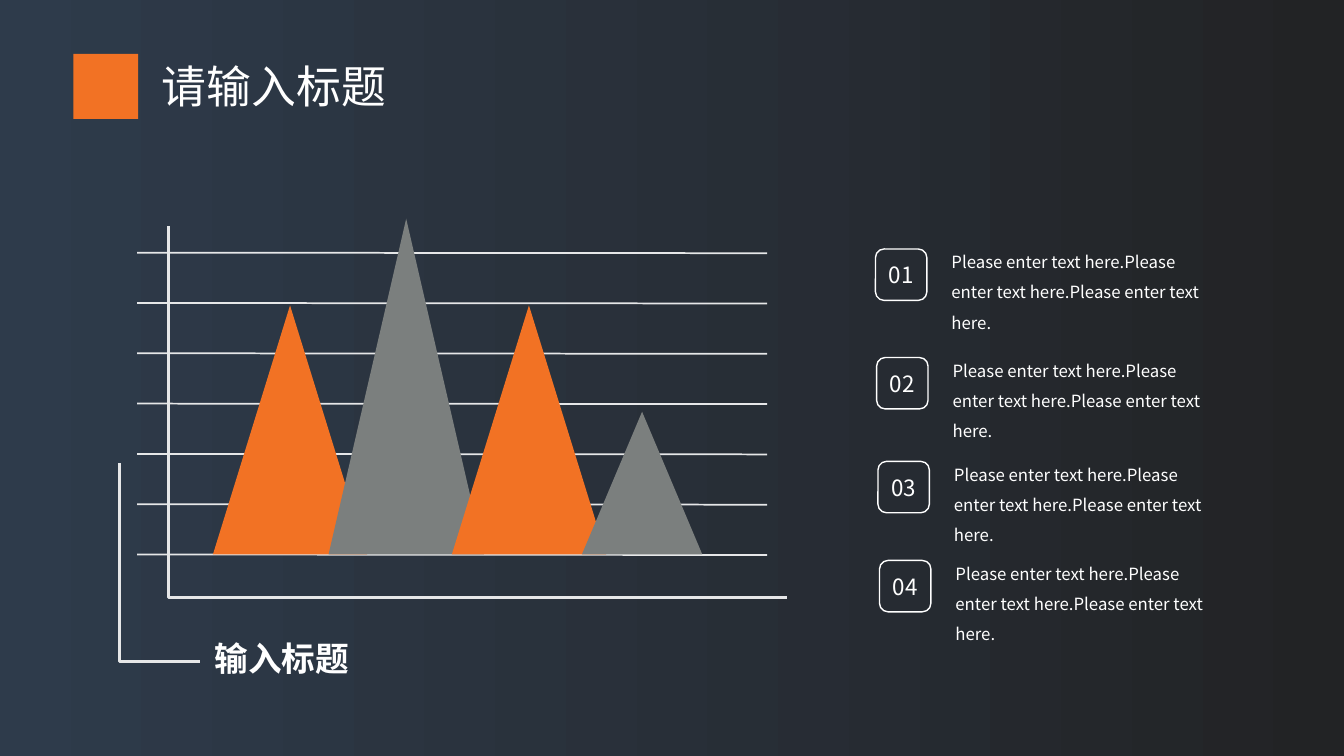
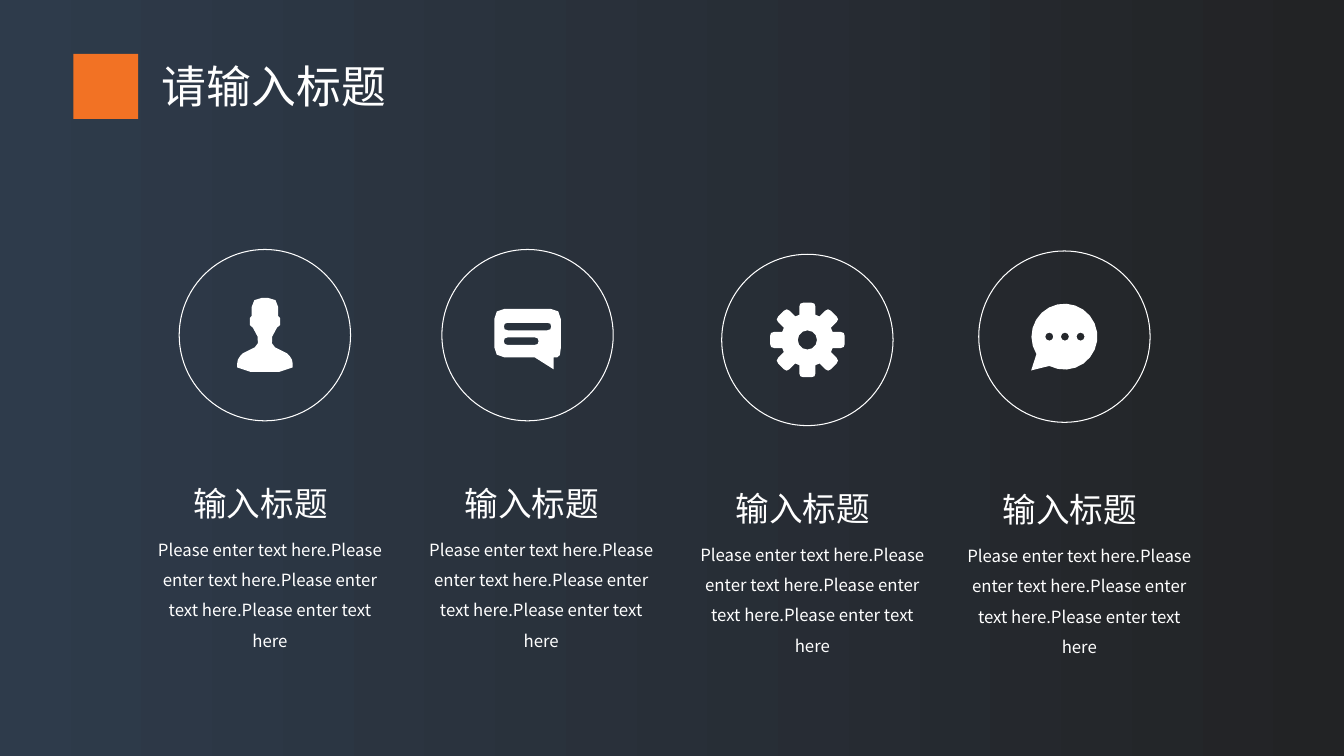
from math import cos, hypot, pi, radians, sin

from lxml.etree import SubElement
from pptx import Presentation
from pptx.dml.color import RGBColor
from pptx.enum.shapes import MSO_CONNECTOR, MSO_SHAPE
from pptx.enum.text import MSO_ANCHOR, MSO_AUTO_SIZE, PP_ALIGN
from pptx.oxml.ns import qn
from pptx.util import Emu, Pt

GRID = 91440
COLUMNS, ROWS = 133.33, 75
FONT = "Noto Sans CJK SC"
WHITE, SILVER, GREY, ORANGE = "FFFFFF", "E6E7E8", "7B7F7E", "F27224"
DARK, NAVY = "222325", "2E3B4B"
SENTENCE = "Please enter text here."


def cells(*counts):
    """Turn grid cells, ten to the inch, into lengths."""
    return [Emu(round(count * GRID)) for count in counts]


def color(hex_code):
    """Turn a hex string into a colour."""
    return RGBColor.from_string(hex_code)


def paint(shape, fill=None, line=None, weight=1):
    """Give a shape its fill and outline, without shadow."""
    shape.shadow.inherit = False
    if fill:
        shape.fill.solid()
        shape.fill.fore_color.rgb = color(fill)
    else:
        shape.fill.background()
    if line:
        shape.line.color.rgb = color(line)
        shape.line.width = Pt(weight)
    else:
        shape.line.fill.background()
    return shape


def write(frame, text, size, align=PP_ALIGN.LEFT, spacing=1.0, bold=False):
    """Set white text in a frame and format it."""
    frame.text = text
    para = frame.paragraphs[0]
    para.alignment = align
    para.line_spacing = spacing
    span = para.runs[0]
    span.font.size = Pt(size)
    span.font.bold = bold
    span.font.color.rgb = color(WHITE)
    span.font.name = FONT
    SubElement(span.font._element, qn("a:ea"), typeface=FONT)


def add_text(page, box, text, size, wrap=True, inset=True, **style):
    """Add a text box that grows with its text."""
    frame = page.shapes.add_textbox(*cells(*box)).text_frame
    frame.word_wrap = wrap
    frame.auto_size = MSO_AUTO_SIZE.SHAPE_TO_FIT_TEXT
    if not inset:
        frame.margin_left = frame.margin_right = 0
        frame.margin_top = frame.margin_bottom = 0
    write(frame, text, size, **style)


def add_outline(page, contours, origin=(0, 0), close=True, **style):
    """Draw contours of points, placed from an origin, as one freeform."""
    placed = [[cells(origin[0] + x, origin[1] + y) for x, y in contour]
              for contour in contours]
    builder = page.shapes.build_freeform(*placed[0][0], scale=1.0)
    for index, contour in enumerate(placed):
        if index:
            builder.move_to(*contour[0])
        builder.add_line_segments(contour[1:], close=close)
    return paint(builder.convert_to_shape(), **style)


def arc(x, y, radius, start=0, sweep=360, steps=8):
    """List the points of an arc."""
    angles = [radians(start + sweep * step / steps) for step in range(steps)]
    return [(x + radius * cos(angle), y + radius * sin(angle)) for angle in angles]


def soften(corners):
    """Round each corner, given as x, y and radius, of a polygon."""
    points = []
    for index, (x, y, radius) in enumerate(corners):
        if not radius:
            points.append((x, y))
            continue
        ends = []
        for near in (corners[index - 1], corners[(index + 1) % len(corners)]):
            length = hypot(near[0] - x, near[1] - y)
            share = min(radius / length, 0.5)
            ends.append((x + (near[0] - x) * share, y + (near[1] - y) * share))
        (ax, ay), (bx, by) = ends
        points += [(ax, ay), ((ax + 2 * x + bx) / 4, (ay + 2 * y + by) / 4), (bx, by)]
    return points


def pill(left, right, middle, half=0.37):
    """Outline a bar with round ends."""
    return soften([(left, middle - half, half), (right, middle - half, half),
                   (right, middle + half, half), (left, middle + half, half)])


def person_icon():
    """Outline a head and shoulders around the origin."""
    half = [(1.3, -3.7, 1), (1.32, -1.9, 0), (1.5, -1.7, 0), (1.5, -1, 0),
            (1.2, -0.75, 0), (0.72, 0.15, 0), (0.7, 0.8, 0), (1, 1.2, 0),
            (2.2, 1.8, 0), (2.75, 2.4, 0.4), (2.75, 3.2, 0), (1.4, 3.65, 0)]
    return [soften(half + [(-x, y, radius) for x, y, radius in reversed(half)])]


def note_icon():
    """Outline a square speech balloon with two lines."""
    balloon = [(-3.3, -2.6, 1), (3.3, -2.6, 1), (3.3, 2.2, 0.9), (2.6, 2.2, 0),
               (2.6, 3.4, 0), (0.7, 2.2, 0), (-3.3, 2.2, 1)]
    return [soften(balloon), pill(-2.35, 1.1, 0.6), pill(-2.35, 2.35, -0.85)]


def gear_icon():
    """Outline a gear of eight teeth with a hole."""
    tooth = [(-0.8, -2.5, 0), (-0.8, -3.7, 0.4), (0.8, -3.7, 0.4), (0.8, -2.5, 0)]
    rim = []
    for turn in range(8):
        angle = turn * pi / 4
        rim += [(x * cos(angle) - y * sin(angle), x * sin(angle) + y * cos(angle), radius)
                for x, y, radius in tooth]
    return [soften(rim), arc(0, 0, 0.95, steps=12)]


def chat_icon():
    """Outline a round speech balloon with three dots."""
    balloon = arc(0, 0, 3.27, 148, 345, 22) + [(-3.3, 3.35)]
    return [balloon] + [arc(x, 0, 0.4) for x in (-1.5, 0.05, 1.6)]


def add_page(deck, title):
    """Add a page with the shared gradient background."""
    page = deck.slides.add_slide(deck.slide_layouts[6])
    fill = page.background.fill
    fill.gradient()
    fill.gradient_angle = 180
    for stop, shade in zip(fill.gradient_stops, (DARK, NAVY)):
        stop.color.rgb = color(shade)
    return page


def add_title(page, left, top, title):
    """Place the orange square with the title beside it."""
    square = page.shapes.add_shape(MSO_SHAPE.RECTANGLE, *cells(left, top, 6.45, 6.45))
    paint(square, fill=ORANGE)
    add_text(page, (left + 7.8, top, 24.6, 6.4), title, 32, wrap=False)


def add_peak_chart(page, left, top):
    """Draw the ruled chart of triangular peaks and its caption."""
    origin = (left, top)
    for row in range(7):
        y = top + 2.67 + 4.99 * row
        rule = page.shapes.add_connector(
            MSO_CONNECTOR.STRAIGHT, *cells(left + 1.75, y, left + 64.25, y + 0.05))
        rule.line.color.rgb = color(SILVER)
        rule.line.width = Pt(1.25)
        SubElement(rule._element.spPr, qn("a:effectLst"))
    base = 32.6
    peaks = [(16.93, 24.7, 7.65, ORANGE), (28.45, 33.3, 7.7, GREY),
             (40.63, 24.7, 7.65, ORANGE), (51.85, 14.15, 5.97, GREY)]
    for middle, height, half, shade in peaks:
        triangle = [(middle, base - height), (middle - half, base), (middle + half, base)]
        add_outline(page, [triangle], origin, fill=shade)
    add_outline(page, [[(4.85, 0), (4.85, 36.9), (66.25, 36.9)]], origin,
                close=False, line=SILVER, weight=2.38)
    add_outline(page, [[(0, 23.55), (0, 43.2), (8, 43.2)]], origin,
                close=False, line=SILVER, weight=2.13)
    add_text(page, (left + 9.45, top + 40.9, 13.5, 4), "输入标题", 24,
             wrap=False, inset=False, bold=True)


def add_numbered_note(page, number, left, top):
    """Place a numbered badge with its note to the right."""
    badge = page.shapes.add_shape(MSO_SHAPE.ROUNDED_RECTANGLE, *cells(left, top, 5.1, 5.1))
    paint(badge, line=WHITE)
    badge.text_frame.vertical_anchor = MSO_ANCHOR.MIDDLE
    write(badge.text_frame, f"{number:02}", 16, align=PP_ALIGN.CENTER)
    add_text(page, (left + 6.55, top - 1.2, 27.5, 6.8), SENTENCE * 3, 12, spacing=1.5)


def add_ringed_icon(page, icon, left, top):
    """Draw a ring with an icon at its centre."""
    size = 17
    ring = page.shapes.add_shape(MSO_SHAPE.OVAL, *cells(left, top, size, size))
    paint(ring, line=WHITE, weight=0.75)
    add_outline(page, icon, (left + size / 2, top + size / 2), fill=WHITE)


def add_caption(page, left, top):
    """Place a description below its centred heading."""
    add_text(page, (left, top + 4.63, 24.3, 10.1), (SENTENCE * 4)[:-1], 12,
             align=PP_ALIGN.CENTER, spacing=1.5)
    add_text(page, (left, top, 22.4, 5), "输入标题", 24, align=PP_ALIGN.CENTER)


def add_chart_page(deck):
    """Build the page with the peaks and four notes."""
    page = add_page(deck, "请输入标题")
    add_peak_chart(page, 11.85, 22.4)
    corners = [(86.85, 24.7), (86.97, 35.47), (87.1, 45.77), (87.25, 55.6)]
    for number, corner in enumerate(corners, 1):
        add_numbered_note(page, number, *corner)
    add_title(page, 7.27, 5.35, "请输入标题")


def add_icon_page(deck):
    """Build the page with four icons and captions."""
    page = add_page(deck, "请输入标题")
    features = [(person_icon(), (17.78, 24.75), (14.64, 47.4)),
                (note_icon(), (43.84, 24.75), (41.55, 47.4)),
                (gear_icon(), (71.6, 25.23), (68.45, 47.9)),
                (chat_icon(), (97.1, 24.9), (94.93, 48.02))]
    for icon, ring_corner, _ in features:
        add_ringed_icon(page, icon, *ring_corner)
    for _, _, caption_corner in features:
        add_caption(page, *caption_corner)
    add_title(page, 7.27, 5.35, "请输入标题")


def main():
    """Build and save the deck."""
    deck = Presentation()
    deck.slide_width, deck.slide_height = cells(COLUMNS, ROWS)
    add_chart_page(deck)
    add_icon_page(deck)
    deck.save("out.pptx")


if __name__ == "__main__":
    main()
